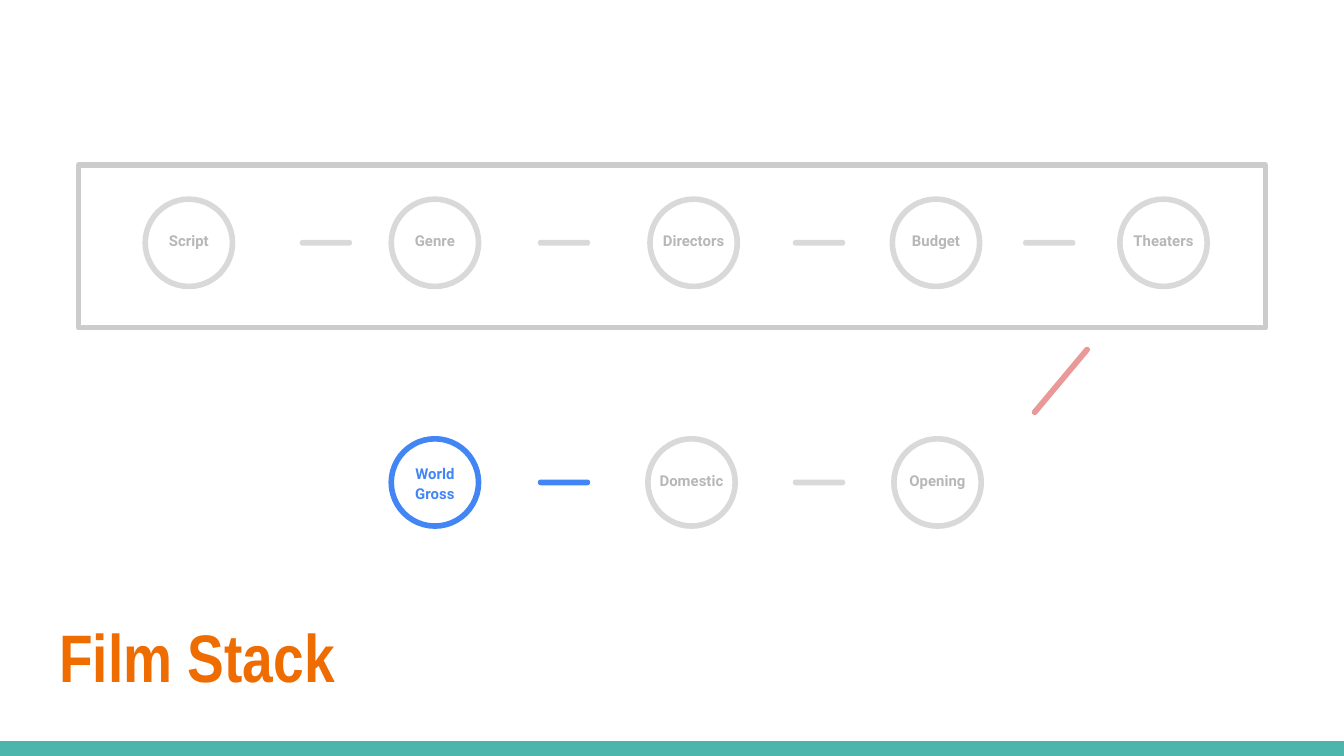
from pptx import Presentation
from pptx.dml.color import RGBColor
from pptx.enum.shapes import MSO_SHAPE
from pptx.enum.text import PP_ALIGN
from pptx.oxml.ns import qn
from pptx.util import Cm, Pt
from lxml.etree import SubElement

COLORS = {
    "teal": "4DB6AC", "orange": "EF6C00", "blue": "4285F4", "pink": "EA9999",
    "ring": "D9D9D9", "label": "B7B7B7", "frame": "CCCCCC",
}
RING = 1.65
DASH_WIDTH, DASH_HEIGHT = 0.99, 0.11

prs = Presentation()
prs.slide_width, prs.slide_height = Cm(25.4), Cm(14.29)
slide = prs.slides.add_slide(prs.slide_layouts[6])


def add_figure(kind, center_x, center_y, width, height, fill=None, outline=None):
    """Add a filled or outlined preset shape around a centre given in cm."""
    figure = slide.shapes.add_shape(kind, Cm(center_x - width / 2), Cm(center_y - height / 2),
                                    Cm(width), Cm(height))
    figure.shadow.inherit = False
    if fill:
        figure.fill.solid()
        figure.fill.fore_color.rgb = RGBColor.from_string(COLORS[fill])
    else:
        figure.fill.background()
    if outline:
        figure.line.color.rgb = RGBColor.from_string(COLORS[outline])
        figure.line.width = Pt(3)
        SubElement(figure.line._get_or_add_ln(), qn("a:round"))
    else:
        figure.line.fill.background()
    return figure


def add_text(text, left, top, width, height, font_name, size, color):
    box = slide.shapes.add_textbox(Cm(left), Cm(top), Cm(width), Cm(height))
    frame = box.text_frame
    frame.word_wrap = True
    frame.margin_left = frame.margin_right = Cm(0.25)
    frame.margin_top = frame.margin_bottom = Cm(0.25)
    paragraph = frame.paragraphs[0]
    paragraph.text = text
    paragraph.font.name = font_name
    paragraph.font.size = Pt(size)
    paragraph.font.bold = True
    paragraph.font.color.rgb = RGBColor.from_string(COLORS[color])
    return paragraph


add_figure(MSO_SHAPE.RECTANGLE, 12.7, 14.15, 25.4, 0.28, fill="teal")

# Each row: centre height, steps (name, centre), dashes between them
rows = [
    (4.59,
     [("Script", 3.57), ("Genre", 8.22), ("Directors", 13.11), ("Budget", 17.69),
      ("Theaters", 21.99)],
     [6.16, 10.66, 15.48, 19.83]),
    (9.12,
     [("World Gross", 8.22), ("Domestic", 13.07), ("Opening", 17.72)],
     [10.66, 15.48]),
]
dashes = []
for row_y, steps, dash_centers in rows:
    for step, step_x in steps:
        is_goal = step == "World Gross"
        add_figure(MSO_SHAPE.OVAL, step_x, row_y, RING, RING,
                   outline="blue" if is_goal else "ring")
        label_width = 1.32 if is_goal else 2
        label_top = row_y - (0.64 if is_goal else 0.45)
        label = add_text(step, step_x - label_width / 2, label_top, label_width, 0.89,
                         "Roboto", 8, "blue" if is_goal else "label")
        label.alignment = PP_ALIGN.CENTER
        label.line_spacing = 1.15
        label.space_after = Pt(16)
    for index, dash_x in enumerate(dash_centers):
        follows_goal = steps[index][0] == "World Gross"
        dashes.append(add_figure(MSO_SHAPE.ROUNDED_RECTANGLE, dash_x, row_y, DASH_WIDTH,
                                 DASH_HEIGHT, fill="blue" if follows_goal else "ring"))

row_link = add_figure(MSO_SHAPE.ROUNDED_RECTANGLE, 20.05, 7.2, 1.65, DASH_HEIGHT, fill="pink")
row_link.rotation = 309.9
for dash in [*dashes, row_link]:
    dash.adjustments[0] = 0.5

add_text("Film Stack", 0.87, 11.38, 23.67, 1.96, "Arial Narrow", 36, "orange")
add_figure(MSO_SHAPE.RECTANGLE, 12.7, 4.66, 22.43, 3.07, outline="frame")

prs.save("out.pptx")
